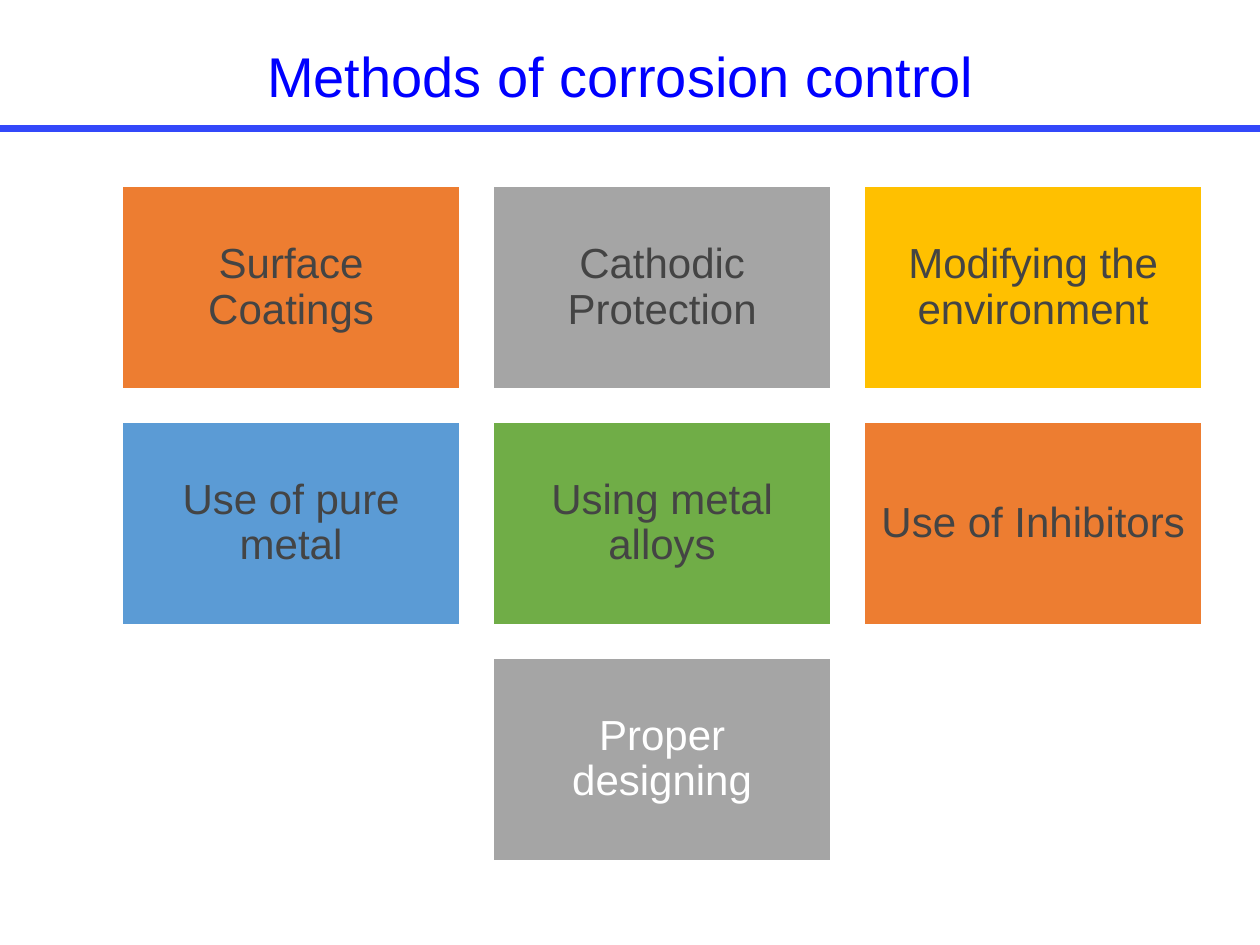
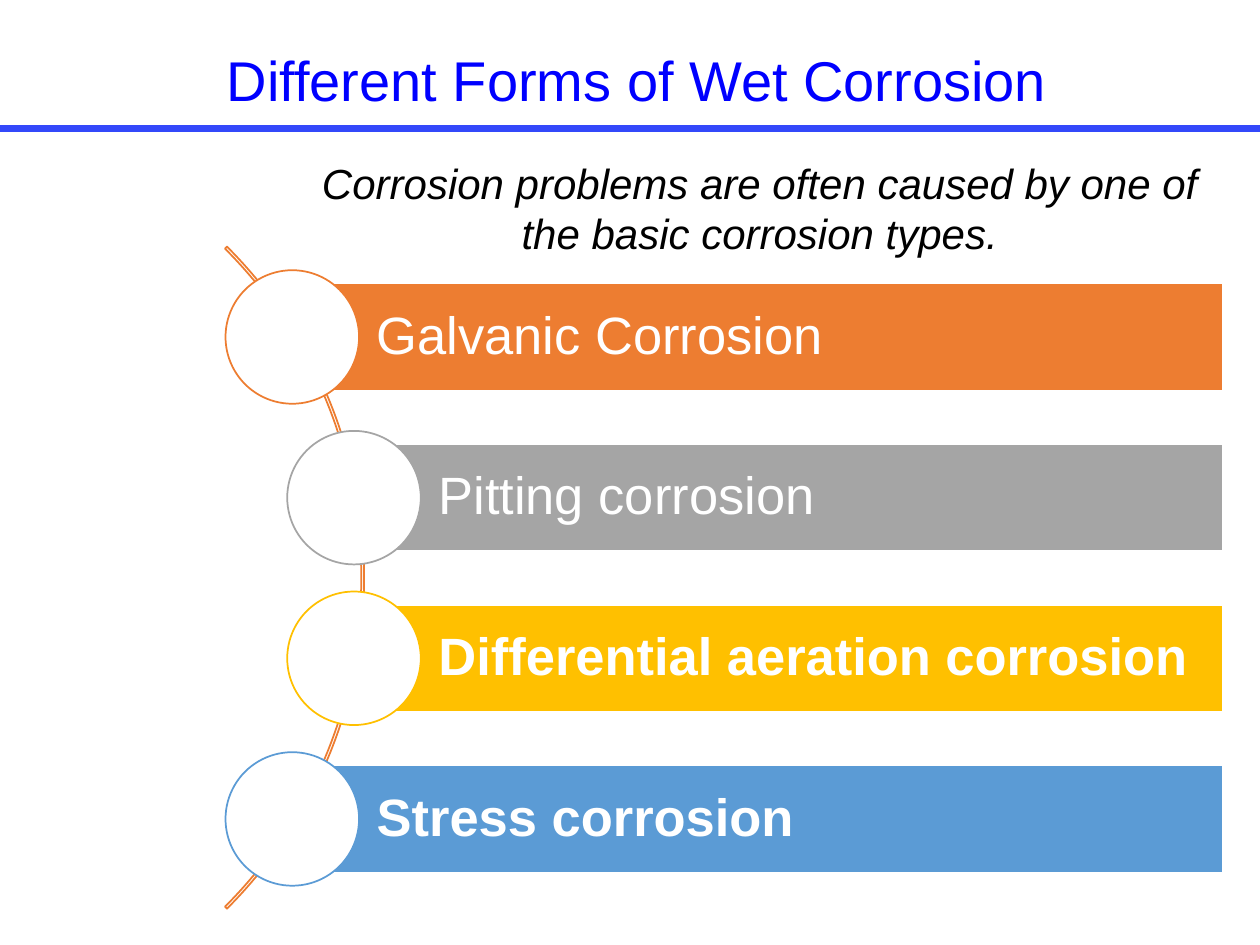
from lxml import etree
from pptx import Presentation
from pptx.dml.color import RGBColor
from pptx.enum.shapes import MSO_CONNECTOR, MSO_SHAPE
from pptx.enum.text import MSO_ANCHOR, MSO_AUTO_SIZE, PP_ALIGN
from pptx.oxml.ns import qn
from pptx.util import Inches, Pt

LINE = MSO_CONNECTOR.STRAIGHT
RECT, OVAL, ARC = MSO_SHAPE.RECTANGLE, MSO_SHAPE.OVAL, MSO_SHAPE.BLOCK_ARC
TOP, MID = MSO_ANCHOR.TOP, MSO_ANCHOR.MIDDLE
LEFT, MIDST = PP_ALIGN.LEFT, PP_ALIGN.CENTER
FIXED = MSO_AUTO_SIZE.NONE

FONT = "Arial"
COLS, ROWS = 20, 15
INK = {
    "title": "0000FF", "rule": "3348FA", "text": "000000", "dark": "444444",
    "white": "FFFFFF", "orange": "ED7D31", "gray": "A5A5A5",
    "gold": "FFC000", "blue": "5B9BD5", "green": "70AD47",
}


class Deck:
    """Draws styled parts on the current slide, measured in grid columns and rows."""

    def __init__(self):
        self.show = Presentation()
        self.show.slide_width, self.show.slide_height = Inches(10), Inches(7.5)
        self.col = self.show.slide_width / COLS
        self.row = self.show.slide_height / ROWS
        self.slide = None

    def span(self, x, y, wide, high):
        return (round(x * self.col), round(y * self.row),
                round(wide * self.col), round(high * self.row))

    def ink(self, name):
        return RGBColor.from_string(INK[name])

    def label(self, shape, words, size, tint, align=LEFT, anchor=TOP,
              pads=(0.2, 0.1, 0.2, 0.1), lead=1.0, bold=False, slant=False):
        frame = shape.text_frame
        frame.word_wrap, frame.auto_size = True, FIXED
        frame.vertical_anchor = anchor
        (frame.margin_left, frame.margin_top,
         frame.margin_right, frame.margin_bottom) = self.span(*pads)
        para = frame.paragraphs[0]
        para.alignment, para.line_spacing = align, lead
        run = para.add_run()
        run.text = words
        font = run.font
        font.name, font.size = FONT, Pt(size)
        font.bold, font.italic = bold, slant
        font.color.rgb = self.ink(tint)

    def page(self, words, x, y, wide):
        self.slide = self.show.slides.add_slide(self.show.slide_layouts[5])
        head = self.slide.shapes.title
        head.left, head.top, head.width, head.height = self.span(x, y, wide, 1.28)
        self.label(head, words, 32, "title")
        self.rule(2.04)

    def rule(self, y):
        left, top, right, _ = self.span(0, y, COLS, 0)
        line = self.slide.shapes.add_connector(LINE, left, top, right, top)
        line.line.color.rgb, line.line.width = self.ink("rule"), Pt(4)
        etree.SubElement(line._element.spPr, qn("a:effectLst"))

    def shape(self, kind, place, fill, edge):
        shape = self.slide.shapes.add_shape(kind, *self.span(*place))
        shape.shadow.inherit = False
        if fill:
            shape.fill.solid()
            shape.fill.fore_color.rgb = self.ink(fill)
        else:
            shape.fill.background()
        shape.line.color.rgb, shape.line.width = self.ink(edge), Pt(1)
        return shape

    def box(self, place, fill, words, size, tint, **style):
        shape = self.shape(RECT, place, fill, "white")
        self.label(shape, words, size, tint, anchor=MID, lead=0.9, **style)

    def note(self, place, words):
        text = self.slide.shapes.add_textbox(*self.span(*place))
        self.label(text, words, 24, "text", align=MIDST, slant=True)

    def arc(self, place, edge):
        arc = self.shape(ARC, place, None, edge)
        for spot, turn in enumerate((189, 27, 0.003)):
            arc.adjustments[spot] = turn


def methods(deck):
    deck.page("Methods of corrosion control", 4.04, 0.56, 13.26)
    tiles = [
        [("Surface Coatings", "orange", "dark"),
         ("Cathodic Protection", "gray", "dark"),
         ("Modifying the environment", "gold", "dark")],
        [("Use of pure metal", "blue", "dark"),
         ("Using metal alloys", "green", "dark"),
         ("Use of Inhibitors", "orange", "dark")],
        [("Proper designing", "gray", "white")],
    ]
    wide, high, gap = 5.36, 3.22, 0.53
    for down, tier in enumerate(tiles):
        inset = (3 - len(tier)) / 2
        for over, (words, fill, tint) in enumerate(tier):
            place = (1.94 + (inset + over) * (wide + gap),
                     2.96 + down * (high + gap - 0.01), wide, high)
            deck.box(place, fill, words, 24, tint, align=MIDST,
                     pads=(0.2, 0.2, 0.2, 0.2))


def forms(deck):
    deck.page("Different Forms of Wet Corrosion", 3.4, 0.62, 13.46)
    deck.note((4.76, 2.4, 14.6, 1.82),
              "Corrosion problems are often caused by one of the basic corrosion types.")
    deck.arc((-9.08, 1.74, 14.86, 14.86), "orange")
    bars = [
        ("Galvanic Corrosion", "orange", 4.64, False),
        ("Pitting corrosion", "gray", 5.62, False),
        ("Differential aeration corrosion", "gold", 5.62, True),
        ("Stress corrosion", "blue", 4.64, True),
    ]
    right, high, disc = 19.41, 1.7, 2.12
    for down, (words, fill, x, bold) in enumerate(bars):
        y = 4.5 + down * 2.55
        deck.box((x, y, right - x, high), fill, words, 30, "white",
                 pads=(1.34, 0.16, 0.16, 0.16), bold=bold)
        deck.shape(OVAL, (x - disc / 2, y + (high - disc) / 2, disc, disc),
                   "white", fill)


def main():
    deck = Deck()
    methods(deck)
    forms(deck)
    deck.show.save("out.pptx")


if __name__ == "__main__":
    main()
